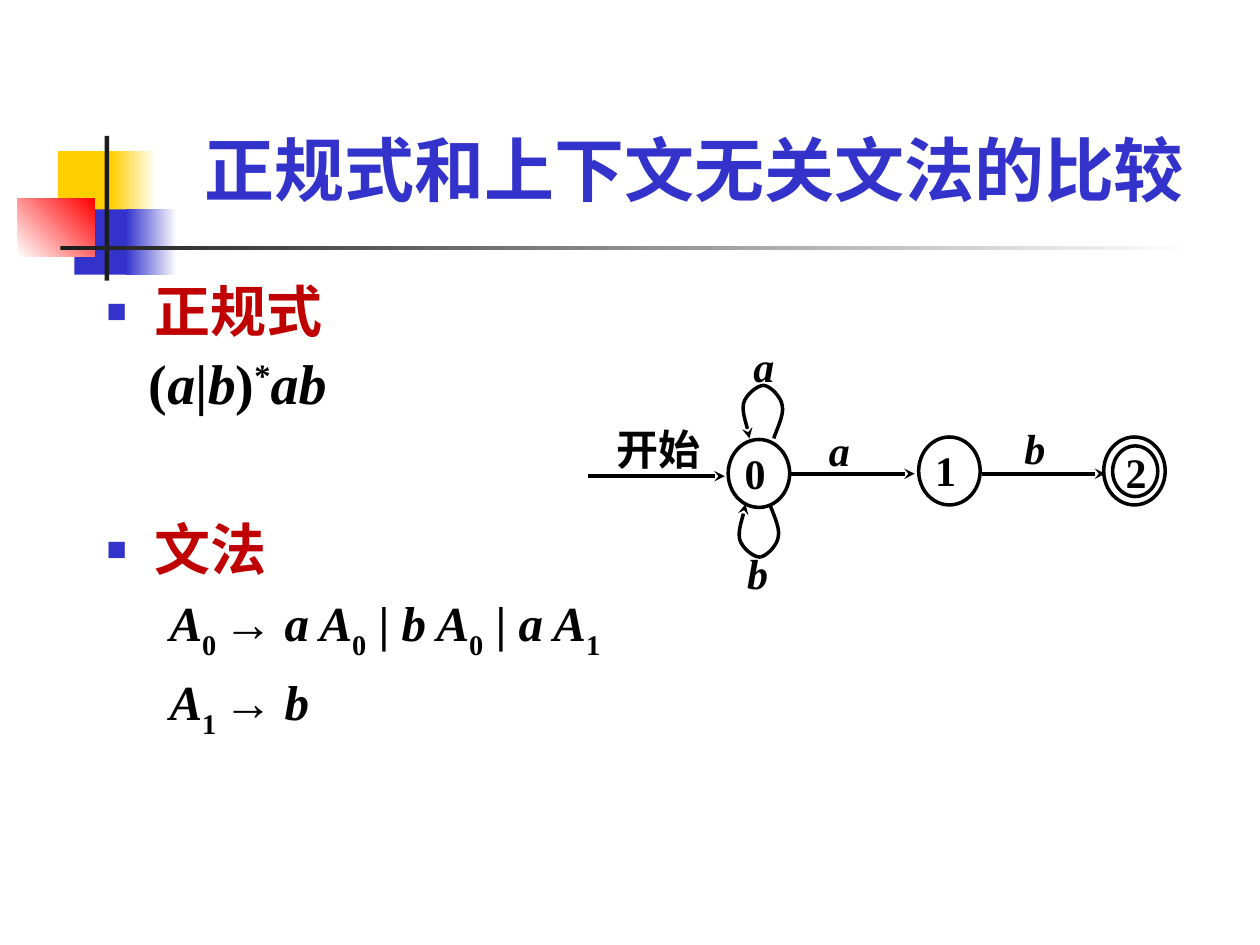
from dataclasses import dataclass

from lxml import etree
from pptx import Presentation
from pptx import util as u
from pptx.dml.color import RGBColor
from pptx.enum import shapes, text
from pptx.oxml import ns


@dataclass(frozen=True)
class Theme:
    font: str = "Times New Roman"
    blue: str = "3333CC"
    yellow: str = "FFCF01"
    red: str = "FF0000"
    white: str = "FFFFFF"
    dark: str = "1C1C1C"
    heading: str = "C00000"
    ink: str = "000000"
    title_size: int = 40
    body_size: int = 32
    rule_size: int = 28
    label_size: int = 24
    stroke: float = 2


T = Theme()

# Content: a run is (text, style) with i = italic, ^ = superscript, _ = subscript
TITLE = "正规式和上下文无关文法的比较"
BODY = [  # kind, space before in points, runs
    ("heading", 6.4, [("正规式", "")]),
    ("regex", 6.4, [("(", ""), ("a", "i"), ("|", ""), ("b", "i"), (")", ""),
                    ("*", "^"), ("ab", "i")]),
    ("heading", 60, [("文法", "")]),
    ("rule", 5.6, [("A", "i"), ("0 ", "_"), ("→ ", ""), ("a A", "i"), ("0", "_"),
                   (" | ", ""), ("b A", "i"), ("0", "_"), (" | ", ""),
                   ("a A", "i"), ("1", "_")]),
    ("rule", 5.6, [("A", "i"), ("1 ", "_"), ("→ ", ""), ("b", "i")]),
]
KINDS = {  # colour, size, left margin, first-line indent, line spacing
    "heading": (T.heading, T.body_size, 0.97, -0.97, 0.9),
    "regex": (T.ink, T.body_size, 0.85, 0, 0.9),
    "rule": (T.ink, T.rule_size, 1.27, 0, 1.0),
}

# Ornament: box in cm, start colour, end colour, angle
ORNAMENT = [
    ((1.17, 3.05, 1.22, 1.32), T.yellow, None, 0),
    ((2.24, 3.05, 0.91, 1.32), T.yellow, T.white, 0),
    ((1.50, 4.22, 1.17, 1.32), T.blue, None, 0),
    ((2.54, 4.22, 1.02, 1.32), T.blue, T.white, 0),
    ((0.36, 4.01, 1.55, 1.17), T.white, T.red, 45),
    ((2.11, 2.74, 0.09, 2.92), T.dark, None, 0),
    ((1.22, 4.95, 22.86, 0.09), T.dark, T.white, 0),
]

# Automaton, in cm
NODE_INSET, INNER_INSET = (0.15, 0.08, 0.05, 0.13), (0.13, 0, 0.03, 0)
STATES = [
    ("0", (14.68, 8.86, 1.24, 1.37), NODE_INSET),
    ("1", (18.52, 8.81, 1.24, 1.37), NODE_INSET),
    ("", (22.25, 8.81, 1.24, 1.37), NODE_INSET),
    ("2", (22.43, 8.99, 0.91, 1.02), INNER_INSET),
]
ARROWS = [(11.86, 14.61, 9.6), (15.95, 18.44, 9.55), (19.79, 22.28, 9.55)]
LABELS = [
    ("开始", "", (12.27, 8.46, 2.01, 1.3)),
    ("a", "i", (16.56, 8.48, 0.99, 1.12)),
    ("b", "i", (20.50, 8.43, 0.99, 1.24)),
    ("a", "i", (15.04, 6.78, 0.99, 1.12)),
    ("b", "i", (14.91, 10.95, 1.02, 1.12)),
]
# Start point, then three Bézier points per curve
UPPER_LOOP = [
    (15.60, 8.84),
    (15.62, 8.74), (15.82, 8.36), (15.77, 8.18),
    (15.75, 8.00), (15.52, 7.77), (15.39, 7.77),
    (15.27, 7.77), (15.04, 7.95), (14.99, 8.13),
    (14.96, 8.31), (15.09, 8.69), (15.11, 8.84),
]
LOWER_LOOP = [(x - 0.08, 19 - y) for x, y in UPPER_LOOP]


def cm(values):
    return [u.Cm(v) for v in values]


def rgb(code):
    return RGBColor.from_string(code)


def add(parent, tag, **attributes):
    return etree.SubElement(parent, ns.qn(tag), attributes)


def add_run(paragraph, words, style, size, color):
    run = paragraph.add_run()
    run.text = words
    font = run.font
    font.name, font.size, font.bold = T.font, u.Pt(size), True
    font.italic = "i" in style
    font.color.rgb = rgb(color)
    for mark, shift in (("^", "30000"), ("_", "-30000")):
        if mark in style:
            font._element.set("baseline", shift)


def set_insets(frame, insets):
    (frame.margin_left, frame.margin_top,
     frame.margin_right, frame.margin_bottom) = cm(insets)


def add_text_box(parent, box):
    frame = parent.add_textbox(*cm(box)).text_frame
    frame.word_wrap = True
    return frame


def add_bullet(paragraph):
    props = paragraph._p.get_or_add_pPr()
    add(add(props, "a:buClr"), "a:srgbClr", val=T.blue)
    add(props, "a:buSzPct", val="60000")
    add(props, "a:buFont", typeface=T.font)
    add(props, "a:buChar", char="■")


def stroke(shape, arrow=False):
    shape.line.color.rgb = rgb(T.ink)
    shape.line.width = u.Pt(T.stroke)
    if arrow:
        add(shape.line._get_or_add_ln(), "a:tailEnd", type="stealth")


def add_loop(parent, points):
    start, *rest = [cm(point) for point in points]
    builder = parent.build_freeform(*start, scale=1.0)
    builder.add_line_segments(rest, close=False)
    loop = builder.convert_to_shape()
    loop.shadow.inherit = False
    loop.fill.background()
    stroke(loop, arrow=True)
    # Merge every three segments into one curve
    outline = next(loop._element.iter(ns.qn("a:path")))
    segments = outline.findall(ns.qn("a:lnTo"))
    for first in range(0, len(segments), 3):
        curve = add(outline, "a:cubicBezTo")
        for segment in segments[first:first + 3]:
            curve.append(segment[0])
            outline.remove(segment)


def main():
    deck = Presentation()
    deck.slide_width, deck.slide_height = u.Cm(25.4), u.Cm(19.05)
    slide = deck.slides.add_slide(deck.slide_layouts[6])

    # Ornament beside the title
    for box, start, end, angle in ORNAMENT:
        block = slide.shapes.add_shape(shapes.MSO_SHAPE.RECTANGLE, *cm(box))
        block.shadow.inherit = False
        block.line.fill.background()
        if end is None:
            block.fill.solid()
            block.fill.fore_color.rgb = rgb(start)
            continue
        block.fill.gradient()
        block.fill.gradient_angle = angle
        for stop, color, position in zip(block.fill.gradient_stops, (start, end), (0, 1)):
            stop.color.rgb, stop.position = rgb(color), position

    # Title
    title = add_text_box(slide.shapes, (2.9, 1.73, 22.2, 2.64))
    title.vertical_anchor = text.MSO_ANCHOR.BOTTOM
    heading = title.paragraphs[0]
    heading.alignment, heading.line_spacing = text.PP_ALIGN.CENTER, 1.1
    add_run(heading, TITLE, "", T.title_size, T.blue)

    # Regular expression and grammar
    body = add_text_box(slide.shapes, (1.9, 5.61, 22.99, 11.43))
    for number, (kind, before, runs) in enumerate(BODY):
        color, size, margin, indent, spacing = KINDS[kind]
        line = body.add_paragraph() if number else body.paragraphs[0]
        line.alignment = text.PP_ALIGN.JUSTIFY
        line.line_spacing, line.space_before = spacing, u.Pt(before)
        props = line._p.get_or_add_pPr()
        props.set("marL", str(u.Cm(margin)))
        props.set("indent", str(u.Cm(indent)))
        if kind == "heading":
            add_bullet(line)
        for words, style in runs:
            add_run(line, words, style, size, color)

    # Automaton: states, transitions, loops and labels
    automaton = slide.shapes.add_group_shape().shapes
    for name, box, insets in STATES:
        state = automaton.add_shape(shapes.MSO_SHAPE.OVAL, *cm(box))
        state.shadow.inherit = False
        state.fill.background()
        stroke(state)
        if name:
            set_insets(state.text_frame, insets)
            state.text_frame.vertical_anchor = text.MSO_ANCHOR.MIDDLE
            line = state.text_frame.paragraphs[0]
            line.alignment = text.PP_ALIGN.LEFT
            add_run(line, name, "", T.label_size, T.ink)
    for left, right, y in ARROWS:
        arrow = automaton.add_connector(
            shapes.MSO_CONNECTOR.STRAIGHT, *cm((left, y, right, y)))
        stroke(arrow, arrow=True)
        add(arrow._element.spPr, "a:effectLst")
    for points in (UPPER_LOOP, LOWER_LOOP):
        add_loop(automaton, points)
    for words, style, box in LABELS:
        label = add_text_box(automaton, box)
        set_insets(label, (0.15, 0.08, 0.15, 0.08))
        label.paragraphs[0].alignment = text.PP_ALIGN.JUSTIFY
        add_run(label.paragraphs[0], words, style, T.label_size, T.ink)

    deck.save("out.pptx")


if __name__ == "__main__":
    main()
